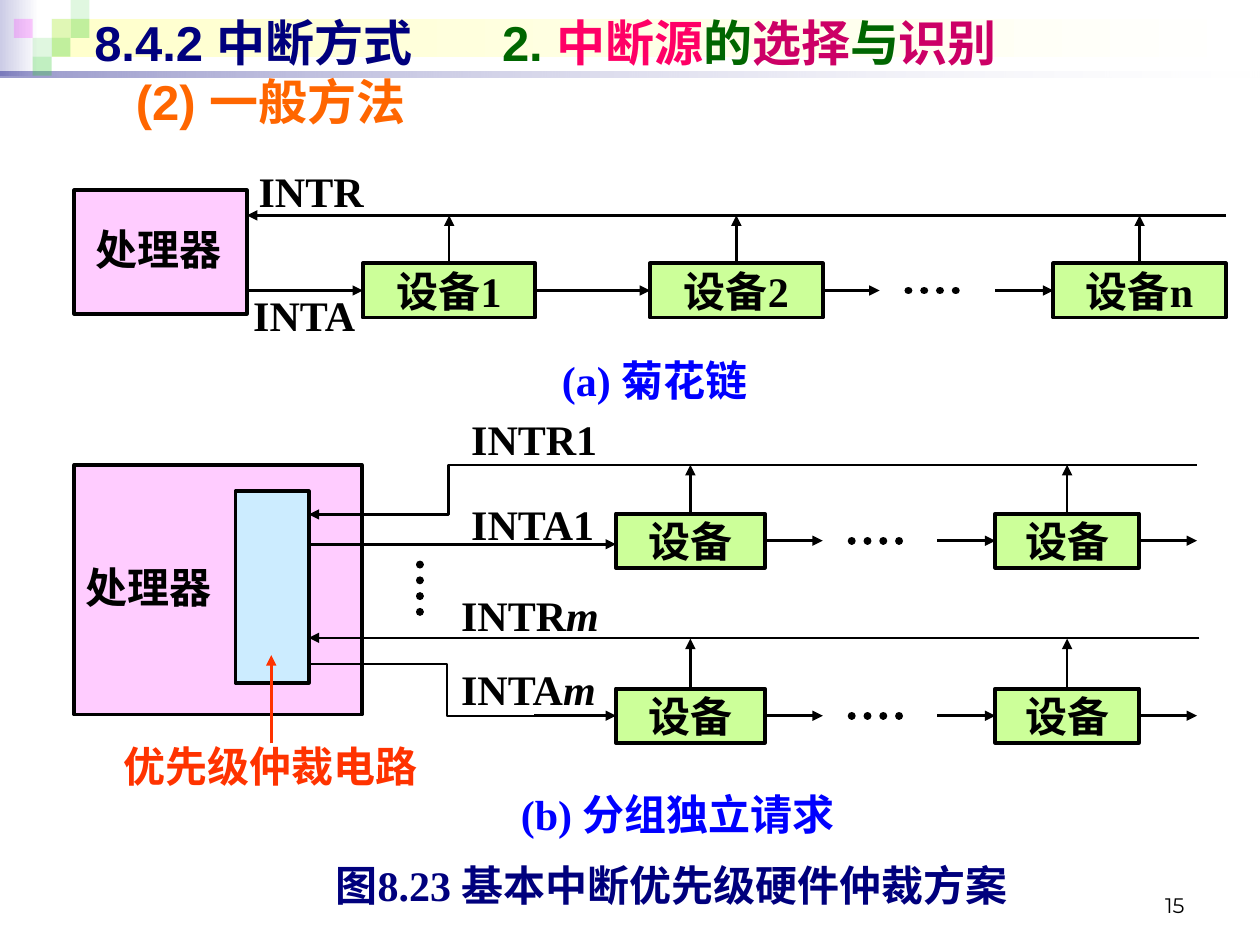
from lxml import etree
from pptx import Presentation
from pptx.dml.color import RGBColor
from pptx.enum.dml import MSO_LINE
from pptx.enum.shapes import MSO_CONNECTOR, MSO_SHAPE
from pptx.enum.text import MSO_ANCHOR as ANC, PP_ALIGN as AL
from pptx.oxml.ns import qn
from pptx.util import Pt

rgb = RGBColor.from_string
RED, BLACK, NAVY, BLUE = "FF3300", "000000", "00007D", "0000FF"
GREEN, PINK, LIME, SKY = "006600", "FFCCFF", "CCFF99", "CCECFF"
SERIF = "Times New Roman"

prs = Presentation()
prs.slide_width, prs.slide_height = Pt(720), Pt(540)
shapes = prs.slides.add_slide(prs.slide_layouts[6]).shapes


def box(x, y, w, h, runs=(), fill=None, border=0, font=SERIF, size=24,
        bold=True, align=AL.CENTER, anchor=ANC.MIDDLE, inset=0, tab=0):
    at = Pt(x), Pt(y), Pt(w), Pt(h)
    if fill:
        s = shapes.add_shape(MSO_SHAPE.RECTANGLE, *at)
        s.shadow.inherit = False
        s.fill.solid()
        s.fill.fore_color.rgb = rgb(fill)
        s.line.fill.background()
        if border:
            s.line.color.rgb = rgb(BLACK)
            s.line.width = Pt(border)
    else:
        s = shapes.add_textbox(*at)
    if runs:
        tf = s.text_frame
        frame = {"word_wrap": True, "vertical_anchor": anchor,
                 "margin_left": Pt(inset), "margin_right": Pt(inset),
                 "margin_top": Pt(inset / 2), "margin_bottom": Pt(inset / 2)}
        for k, v in frame.items():
            setattr(tf, k, v)
        p = tf.paragraphs[0]
        p.alignment = align
        if tab:
            tabs = etree.SubElement(p._p.get_or_add_pPr(), qn("a:tabLst"))
            etree.SubElement(tabs, qn("a:tab"), pos=str(Pt(tab)), algn="l")
        for text, color, *italic in runs:
            r = p.add_run()
            r.text = text
            r.font.color.rgb = rgb(color)
            fmt = {"name": font, "size": Pt(size), "bold": bold, "italic": bool(italic)}
            for k, v in fmt.items():
                setattr(r.font, k, v)
    return s


def line(x1, y1, x2, y2, color=BLACK, dots=False, begin=None, end=None):
    c = shapes.add_connector(MSO_CONNECTOR.STRAIGHT, Pt(x1), Pt(y1), Pt(x2), Pt(y2))
    if begin:
        c.begin_connect(*begin)
    if end:
        c.end_connect(*end)
    c.line.color.rgb = rgb(color)
    c.line.width = Pt(4.5 if dots else 1.5)
    ln = c.line._get_or_add_ln()
    if dots:
        c.line.dash_style = MSO_LINE.ROUND_DOT
        ln.set("cap", "rnd")
    else:
        etree.SubElement(ln, qn("a:tailEnd"), type="triangle")
    etree.SubElement(c._element.spPr, qn("a:effectLst"))


gradients = [
    (0, 0, 22.3, 43.2, [("CCCCE6", 100), ("FFFFFF", 100)]),
    (29.5, 10.8, 687.6, 21.6, [("FFFFCC", 100), ("FFFFFF", 100)]),
    (0, 41, 720, 3.6, [(NAVY, 40), ("FFFFFF", 10)]),
]
for x, y, w, h, stops in gradients:
    s = box(x, y, w, h, fill="FFFFFF")
    s.fill.gradient()
    s.fill.gradient_angle = 0
    for stop, (color, alpha) in zip(s.fill.gradient_stops, stops):
        stop.color.rgb = rgb(color)
    for clr, (color, alpha) in zip(s._element.spPr.iter(qn("a:srgbClr")), stops):
        etree.SubElement(clr, qn("a:alpha"), val=str(alpha * 1000))

squares = [(2, 1, "33CC33", 15), (3, 0, "33CC33", 15), (3, 1, "33CC33", 30),
           (1, 2, "33CC33", 15), (0, 1, "FF00FF", 20), (2, 2, "33CC33", 30),
           (1, 3, "33CC33", 30)]
for col, row, color, alpha in squares:
    s = box(7.9 + col * 10.8, row * 10.8, 10.8, 10.8, fill=color)
    clr = next(s._element.spPr.iter(qn("a:srgbClr")))
    etree.SubElement(clr, qn("a:alpha"), val=str(alpha * 1000))

title = [("8.4.2 中断方式\t", NAVY), ("2. ", GREEN), ("中断源", "FF0066"), ("的", GREEN),
         ("选择", "CC0066"), ("与", GREEN), ("识别", "CC0066")]
heading = {"font": "Arial", "size": 28, "align": AL.LEFT, "inset": 7.2}
box(46.8, 3.6, 648, 41, title, tab=233, **heading)
box(70.6, 37.4, 625, 41, [("(2) 一般方法", "FF6600")], **heading)
box(516.2, 491.8, 167.8, 36, [("15", BLACK)], font="Montserrat", size=12,
    bold=False, align=AL.RIGHT, anchor=ANC.BOTTOM, inset=7.2)

box(42.5, 108.7, 98.6, 70.6, fill=PINK, border=2.25)
box(42.5, 265.7, 164.2, 142.6, fill=PINK, border=2.25)
box(134.6, 280.8, 41.8, 109.4, fill=SKY, border=2.25)

labels = [
    (158.4, 491, 450.7, 27.4, [("图8.23 基本中断优先级硬件仲裁方案", NAVY)], AL.CENTER),
    (280.8, 450.7, 213.1, 28, [("(b) 分组独立请求", BLUE)], AL.CENTER),
    (308.9, 202.3, 130.3, 33, [("(a) 菊花链", BLUE)], AL.CENTER),
    (70.6, 423.4, 187.2, 28.8, [("优先级仲裁电路", RED)], AL.LEFT),
    (144.7, 94.3, 66.2, 28.8, [("INTR", BLACK)], AL.CENTER),
    (144.7, 165.6, 72, 28.8, [("INTA", BLACK)], AL.LEFT),
    (269.3, 236.2, 79.2, 28.8, [("INTR1", BLACK)], AL.LEFT),
    (269.3, 285.1, 79.2, 24.5, [("INTA1", BLACK)], AL.LEFT),
    (263.5, 337, 87.1, 28.8, [("INTR", BLACK), ("m", BLACK, True)], AL.LEFT),
    (263.5, 379.4, 87.1, 28, [("INTA", BLACK), ("m", BLACK, True)], AL.LEFT),
]
for x, y, w, h, runs, align in labels:
    box(x, y, w, h, runs, align=align, anchor=ANC.TOP)
for x, y in [(42.5, 122.4), (36.7, 315.4)]:
    box(x, y, 96.5, 39.6, [("处理器", BLACK)])

chain = []
for x, name in [(207.4, "设备1"), (371.5, "设备2"), (601.9, "设备n")]:
    s = box(x, 150.5, 98.6, 31, [(name, BLACK)], LIME, 2.25)
    line(x + 49.3, 150.5, x + 49.3, 123.1, begin=(s, 0))
    chain.append(s)
first, second, last = chain
line(700.6, 123.1, 141.1, 123.1)
line(141.1, 166, 207.4, 166, end=(first, 1))
line(306, 166, 371.5, 166, begin=(first, 3), end=(second, 1))
line(470.1, 166, 502.6, 166, begin=(second, 3))
line(568.8, 166, 601.9, 166, end=(last, 1))
line(519.1, 166, 552.2, 166, dots=True)

for top, bus in [(293.5, 265.7), (393.5, 365)]:
    mid = top + 15.5
    near = box(352, top, 85, 31, [("设备", BLACK)], LIME, 2.25)
    far = box(568.8, top, 82, 31, [("设备", BLACK)], LIME, 2.25)
    line(394.5, top, 394.5, bus, begin=(near, 0))
    line(609.8, top, 609.8, bus, begin=(far, 0))
    line(437, mid, 470.2, mid, begin=(near, 3))
    line(486.7, mid, 519.1, mid, dots=True)
    line(535.7, mid, 568.8, mid, end=(far, 1))
    line(650.8, mid, 684, mid, begin=(far, 3))

paths = [([(190.8, 294), (256.3, 294), (256.3, 265.7), (684, 265.7)], 1.5),
         ([(305.3, 409), (255.6, 409), (255.6, 379.4), (176.4, 379.4)], 1.25)]
for points, width in paths:
    (x, y), *rest = [(Pt(a), Pt(b)) for a, b in points]
    fb = shapes.build_freeform(x, y)
    fb.add_line_segments(rest, close=False)
    s = fb.convert_to_shape()
    s.shadow.inherit = False
    s.fill.background()
    s.line.color.rgb = rgb(BLACK)
    s.line.width = Pt(width)

line(224, 294, 176.4, 294)
line(176.4, 311, 352, 311)
line(685.4, 364.5, 176.4, 364.5)
line(305.3, 409, 352, 409, end=(near, 1))
line(239.8, 322.6, 239.8, 351.4, dots=True)
line(155, 424.8, 155, 374.4, color=RED)

prs.save("out.pptx")
